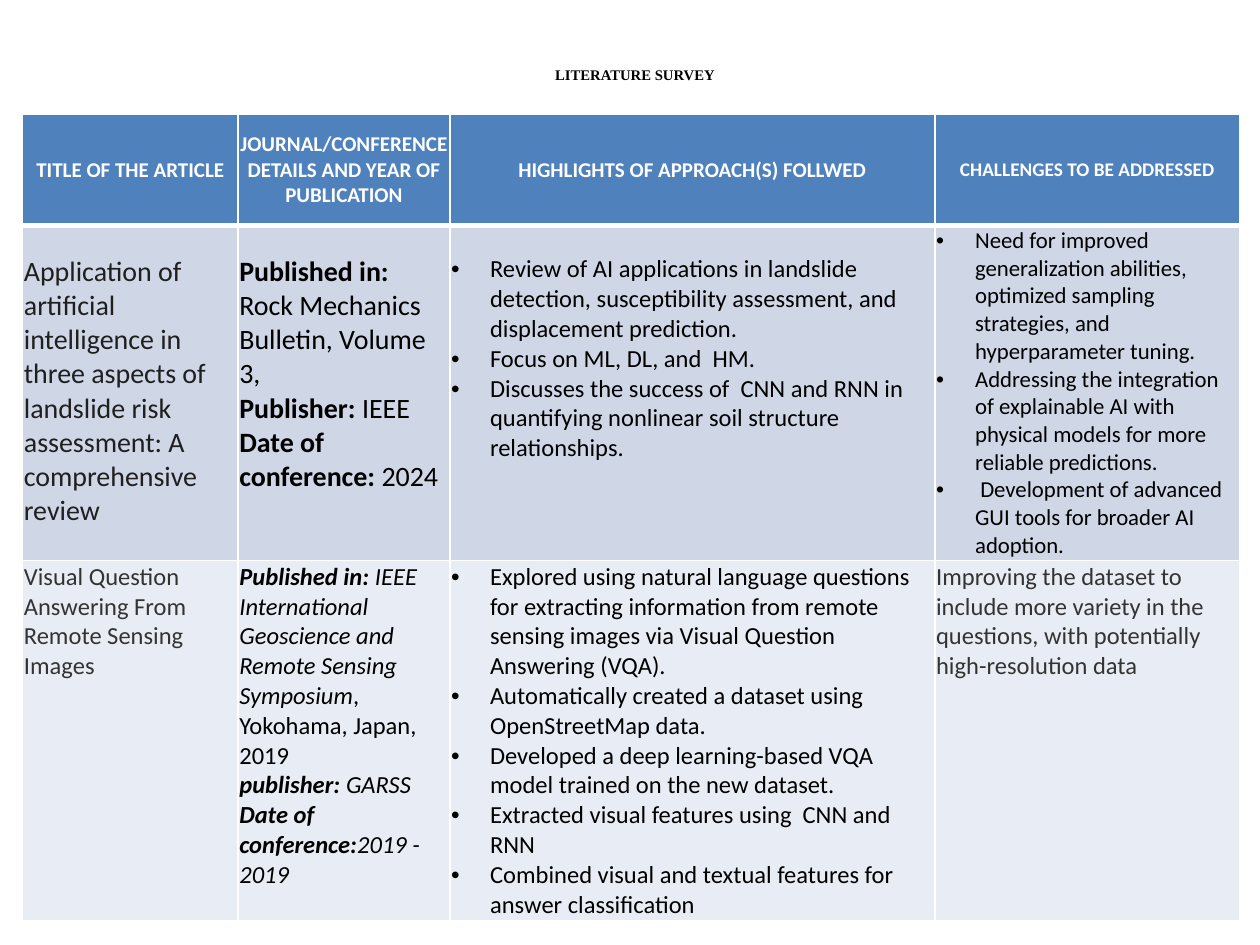
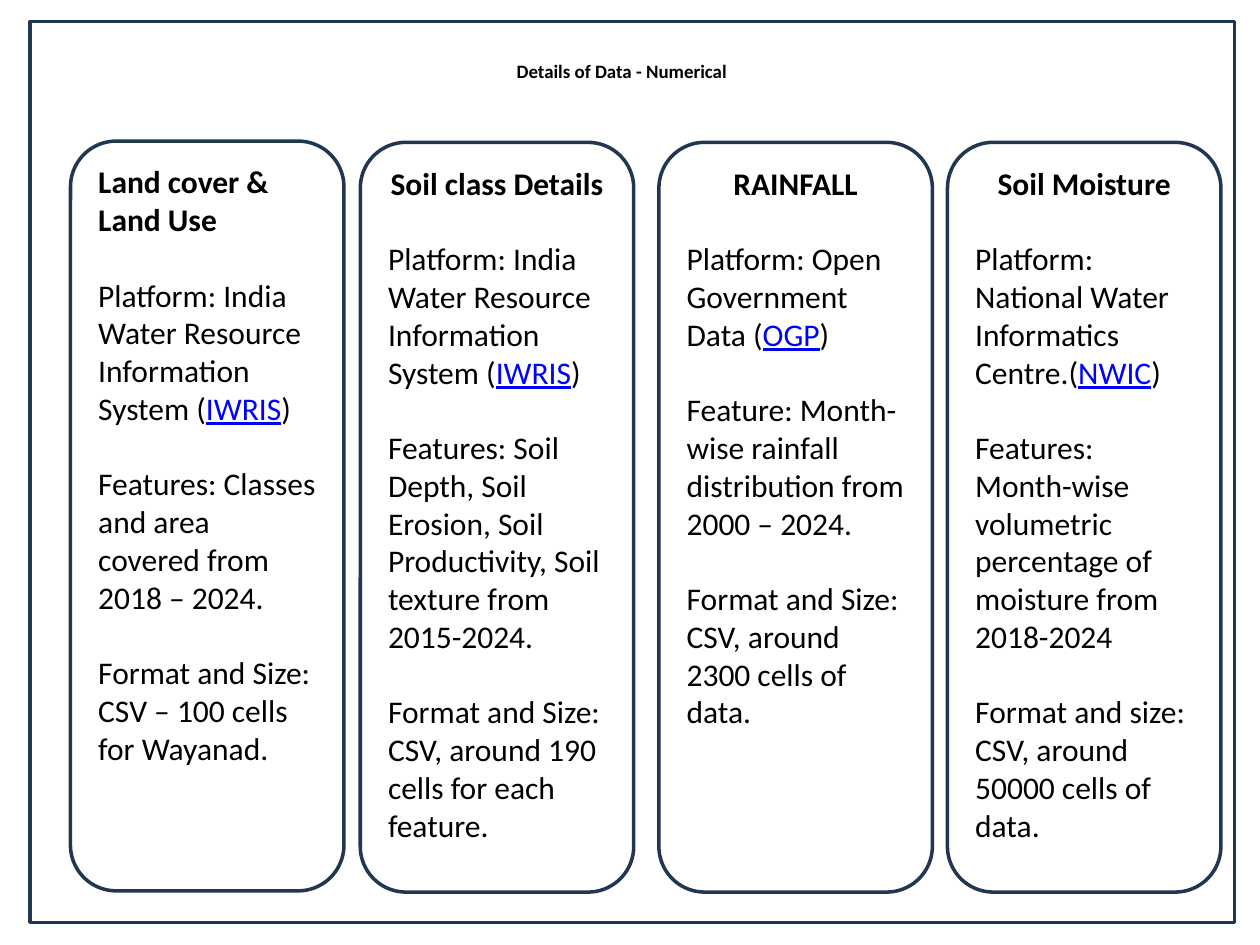
from dataclasses import dataclass
from typing import NamedTuple, Optional

from lxml.etree import SubElement
from pptx import Presentation
from pptx.dml.color import RGBColor
from pptx.enum.shapes import MSO_SHAPE as Shape
from pptx.enum.text import MSO_ANCHOR as Anchor, PP_ALIGN as Align
from pptx.oxml import parse_xml
from pptx.oxml.ns import nsdecls, qn
from pptx.util import Inches, Pt


# Theme: colours, fonts and type sizes
@dataclass(frozen=True)
class Theme:
    black: str = "000000"
    white: str = "FFFFFF"
    header: str = "4F81BD"
    bands: tuple = ("CFD7E7", "E8ECF4")
    dark: str = "1F1F1F"
    grey: str = "333333"
    navy: str = "213650"
    link: str = "0000FF"
    font: str = "Calibri"
    serif: str = "Times New Roman"
    card_size: float = 18
    header_size: float = 12


T = Theme()


class Run(NamedTuple):
    text: str
    bold: bool = False
    italic: bool = False
    underline: bool = False
    color: Optional[str] = None


@dataclass
class Cell:
    paras: list
    size: float
    color: str = T.black
    bullet: bool = False
    top: float = 0.01


@dataclass
class Card:
    left: float
    top: float
    title: str
    platform: str
    link: str
    details: list
    align: Align = Align.CENTER


# Text helpers
def write(tf, text, *, size, first=False, font=T.font, color=T.black, bold=False,
          align=Align.LEFT, before=0.0, bullet=False) -> None:
    """Write one paragraph; text is a string or a list of runs."""
    p = tf.paragraphs[0] if first else tf.add_paragraph()
    if bullet:
        pPr = p._p.get_or_add_pPr()
        pPr.set("marL", str(Inches(0.31)))
        pPr.set("indent", str(-Inches(0.31)))
        SubElement(pPr, qn("a:buFont"), typeface="Arial")
        SubElement(pPr, qn("a:buChar"), char="•")
    p.alignment = align
    if before:
        p.space_before = Pt(before)
    for part in [Run(text, bold)] if isinstance(text, str) else text:
        r = p.add_run()
        r.text = part.text
        f = r.font
        f.name, f.size = font, Pt(size)
        f.bold, f.italic, f.underline = part.bold, part.italic, part.underline
        f.color.rgb = RGBColor.from_string(part.color or color)


def set_margins(box, margin: float) -> None:
    box.margin_left = box.margin_right = Inches(margin)
    box.margin_top = box.margin_bottom = Inches(margin)


def add_text_box(s, left: float, top: float, width: float, height: float):
    tf = s.shapes.add_textbox(Inches(left), Inches(top), Inches(width), Inches(height)).text_frame
    tf.word_wrap = True
    set_margins(tf, 0.05)
    return tf


def add_title(s, text: str, left: float, top: float, width: float, **fmt) -> None:
    tf = add_text_box(s, left, top, width, 0.5)
    tf.vertical_anchor = Anchor.MIDDLE
    write(tf, text, first=True, bold=True, align=Align.CENTER, **fmt)


def add_outline(s, kind, left: float, top: float, width: float, height: float):
    sp = s.shapes.add_shape(kind, Inches(left), Inches(top), Inches(width), Inches(height))
    sp.shadow.inherit = False
    sp.fill.background()
    sp.line.color.rgb = RGBColor.from_string(T.navy)
    sp.line.width = Pt(2)
    return sp


# Literature table
HEADERS = [
    ("TITLE OF THE ARTICLE", T.header_size),
    ("JOURNAL/CONFERENCE DETAILS AND YEAR OF PUBLICATION", T.header_size),
    ("HIGHLIGHTS OF APPROACH(S) FOLLWED", T.header_size),
    ("CHALLENGES TO BE ADDRESSED", 11),
]
COLUMN_WIDTHS = [1.71, 1.68, 3.85, 2.42]
ROW_HEIGHTS = [0.88, 2.66, 2.86]
LOWERED = 0.23

ARTICLES = [
    [
        Cell(["Application of artificial intelligence in three aspects of landslide risk "
              "assessment: A comprehensive review"], 16, T.dark, top=LOWERED),
        Cell([[Run("Published in: ", True), Run("Rock Mechanics Bulletin, Volume 3,")],
              [Run("Publisher: ", True), Run("IEEE")],
              [Run("Date of conference: ", True), Run("2024")]], 16, top=LOWERED),
        Cell(["Review of AI applications in landslide detection, susceptibility assessment, "
              "and displacement prediction.",
              "Focus on ML, DL, and  HM.",
              "Discusses the success of  CNN and RNN in quantifying nonlinear soil structure "
              "relationships."], 14, bullet=True, top=LOWERED),
        Cell(["Need for improved generalization abilities, optimized sampling strategies, "
              "and hyperparameter tuning.",
              "Addressing the integration of explainable AI with physical models for more "
              "reliable predictions.",
              " Development of advanced GUI tools for broader AI adoption."], 13, bullet=True),
    ],
    [
        Cell(["Visual Question Answering From Remote Sensing Images"], 14, T.grey),
        Cell([[Run("Published in: ", True, True),
               Run("IEEE International Geoscience and Remote Sensing Symposium", italic=True),
               Run(", Yokohama, Japan, 2019")],
              [Run("publisher: ", True, True), Run("GARSS", italic=True)],
              [Run("Date of conference:", True, True), Run("2019 - 2019", italic=True)]], 14),
        Cell(["Explored using natural language questions for extracting information from "
              "remote sensing images via Visual Question Answering (VQA).",
              "Automatically created a dataset using OpenStreetMap data.",
              "Developed a deep learning-based VQA model trained on the new dataset.",
              "Extracted visual features using  CNN and RNN",
              "Combined visual and textual features for answer classification"],
             14, bullet=True),
        Cell(["Improving the dataset to include more variety in the questions, with "
              "potentially high-resolution data"], 14, T.grey),
    ],
]


def style_cell(cell, fill: str, top_width: float, bottom_width: float) -> None:
    """Fill the cell and give it white borders."""
    set_margins(cell, 0.01)
    tcPr = cell._tc.get_or_add_tcPr()
    sides = {"lnL": 1, "lnR": 1, "lnT": top_width, "lnB": bottom_width}
    for i, (side, width) in enumerate(sides.items()):
        tcPr.insert(i, parse_xml(
            f'<a:{side} {nsdecls("a")} w="{Pt(width)}"><a:solidFill>'
            f'<a:srgbClr val="{T.white}"/></a:solidFill></a:{side}>'))
    cell.fill.solid()
    cell.fill.fore_color.rgb = RGBColor.from_string(fill)


def build_survey(s) -> None:
    add_title(s, "LITERATURE SURVEY", 0.45, 0.34, 9.18, size=8.4, font=T.serif)
    table = s.shapes.add_table(
        len(ROW_HEIGHTS), len(COLUMN_WIDTHS), Inches(0.18), Inches(0.91),
        Inches(sum(COLUMN_WIDTHS)), Inches(sum(ROW_HEIGHTS))).table
    for column, width in zip(table.columns, COLUMN_WIDTHS):
        column.width = Inches(width)
    for row, height in zip(table.rows, ROW_HEIGHTS):
        row.height = Inches(height)

    for col, (text, size) in enumerate(HEADERS):
        cell = table.cell(0, col)
        style_cell(cell, T.header, 1, 3)
        cell.vertical_anchor = Anchor.MIDDLE
        write(cell.text_frame, text, size=size, first=True, color=T.white, bold=True,
              align=Align.CENTER)

    for row, article in enumerate(ARTICLES, start=1):
        for col, content in enumerate(article):
            cell = table.cell(row, col)
            style_cell(cell, T.bands[row - 1], 3 if row == 1 else 1, 1)
            cell.margin_top = Inches(content.top)
            for i, para in enumerate(content.paras):
                write(cell.text_frame, para, size=content.size, first=i == 0,
                      color=content.color, bullet=content.bullet)


# Data source cards
CARDS = [
    Card(0.56, 1.12, "Land cover & Land Use",
         "Platform: India Water Resource Information System (", "IWRIS",
         ["Features: Classes and area covered from 2018 – 2024.",
          "Format and Size: CSV – 100 cells for Wayanad."], Align.LEFT),
    Card(2.86, 1.13, "Soil class Details",
         "Platform: India Water Resource Information System (", "IWRIS",
         ["Features: Soil Depth, Soil Erosion, Soil Productivity, Soil texture from 2015-2024.",
          "Format and Size: CSV, around 190 cells for each feature."]),
    Card(5.23, 1.13, "RAINFALL",
         "Platform: Open Government Data (", "OGP",
         ["Feature: Month-wise rainfall distribution from 2000 – 2024.",
          "Format and Size: CSV, around 2300 cells of data."]),
    Card(7.52, 1.13, "Soil Moisture",
         "Platform: National Water Informatics Centre.(", "NWIC",
         ["Features: Month-wise volumetric percentage of moisture from 2018-2024",
          "Format and size: CSV, around 50000 cells of data."]),
]
CARD_WIDTH, CARD_HEIGHT = 2.17, 5.95
PAD_X, PAD_Y = 0.17, 0.12
LINE_GAP = 21.5


def add_card(s, card: Card) -> None:
    sp = add_outline(s, Shape.ROUNDED_RECTANGLE, card.left, card.top, CARD_WIDTH, CARD_HEIGHT)
    sp.adjustments[0] = 0.167
    tf = add_text_box(s, card.left + PAD_X, card.top + PAD_Y,
                      CARD_WIDTH - 2 * PAD_X, CARD_HEIGHT - 2 * PAD_Y)
    write(tf, card.title, size=T.card_size, first=True, bold=True, align=card.align)
    platform = [Run(card.platform), Run(card.link, underline=True, color=T.link), Run(")")]
    for text in [platform, *card.details]:
        write(tf, text, size=T.card_size, before=LINE_GAP)


def build_data(s) -> None:
    add_title(s, "Details of Data - Numerical", 0.55, 0.31, 8.77, size=10.8)
    add_outline(s, Shape.RECTANGLE, 0.24, 0.17, 9.56, 7.15)
    for card in CARDS:
        add_card(s, card)


def main() -> None:
    prs = Presentation()
    prs.slide_width, prs.slide_height = Inches(10), Inches(7.5)
    for build in (build_survey, build_data):
        build(prs.slides.add_slide(prs.slide_layouts[6]))
    prs.save("out.pptx")


if __name__ == "__main__":
    main()
